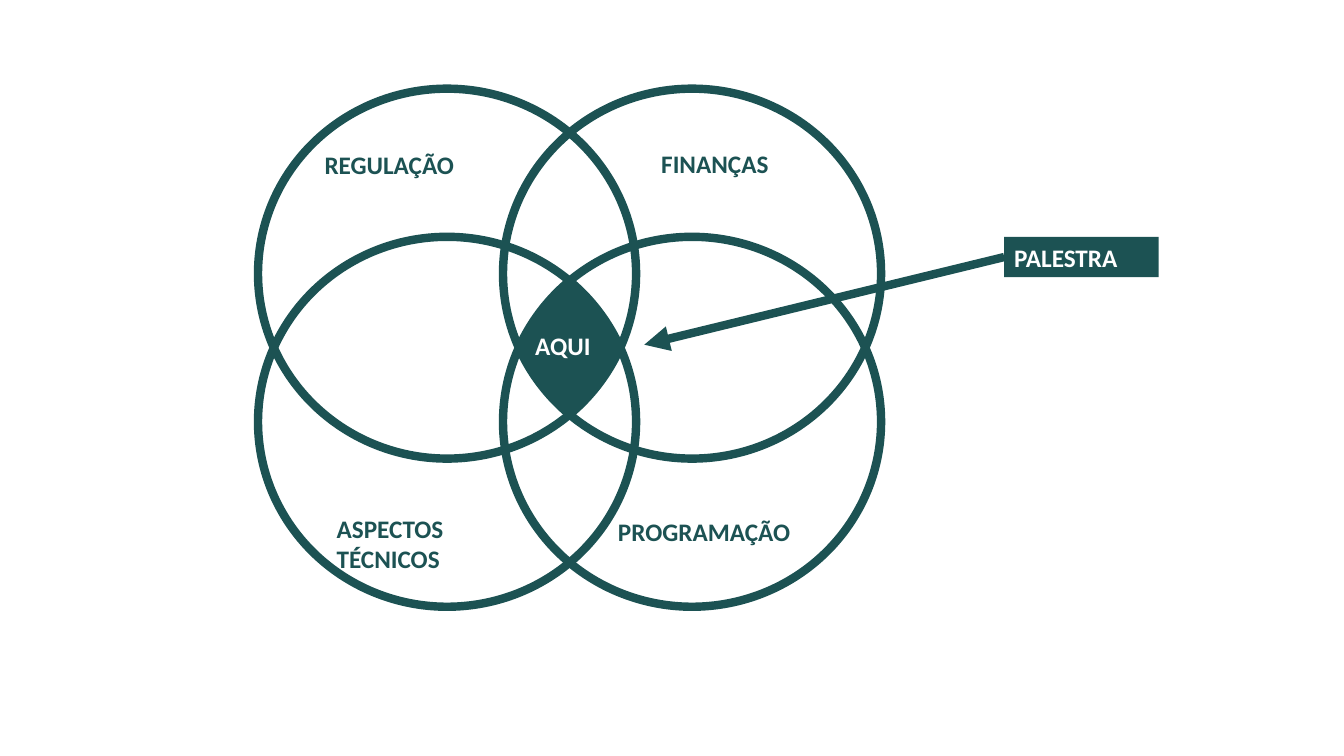
import itertools
import math
from dataclasses import dataclass

import pptx
import pptx.dml.color
import pptx.enum.shapes
import pptx.oxml
import pptx.oxml.ns
import pptx.util


@dataclass(frozen=True)
class Theme:
    """Colours, font, sizes and line widths."""
    teal: str = "1C5253"
    white: str = "FFFFFF"
    font: str = "Calibri"
    label_size: int = 18
    thick: int = 6
    thin: int = 1


def paint(color_format, value):
    """Set a hexadecimal colour on a fill, line or font colour."""
    color_format.rgb = pptx.dml.color.RGBColor.from_string(value)


class Diagram:
    """Draws on one slide; lengths are percentages of the slide's size."""

    def __init__(self, presentation, theme):
        """Add a blank slide and keep the style."""
        self.theme = theme
        self.width = presentation.slide_width
        self.height = presentation.slide_height
        self.slide = presentation.slides.add_slide(presentation.slide_layouts[6])
        self.shapes = self.slide.shapes

    def place(self, x, y):
        """Turn a pair of percentages into slide lengths."""
        return round(self.width * x / 100), round(self.height * y / 100)

    def outline(self, shape, width):
        """Give a shape or connector a teal line."""
        paint(shape.line.color, self.theme.teal)
        shape.line.width = pptx.util.Pt(width)

    def fill(self, shape):
        """Fill a shape with teal."""
        shape.fill.solid()
        paint(shape.fill.fore_color, self.theme.teal)

    def ring(self, left, top, width, height):
        """Draw an unfilled ellipse with a thick line."""
        shape = self.shapes.add_shape(
            pptx.enum.shapes.MSO_SHAPE.OVAL,
            *self.place(left, top), *self.place(width, height))
        shape.shadow.inherit = False
        shape.fill.background()
        self.outline(shape, self.theme.thick)

    def region(self, points):
        """Draw a filled closed outline."""
        corners = [self.place(*point) for point in points]
        builder = self.shapes.build_freeform(*corners[0])
        builder.add_line_segments(corners[1:], close=True)
        shape = builder.convert_to_shape()
        shape.shadow.inherit = False
        self.fill(shape)
        self.outline(shape, self.theme.thin)

    def label(self, text, left, top, width, height=5.33, color=None, filled=False):
        """Write a bold label, on a teal box if filled."""
        box = self.shapes.add_textbox(
            *self.place(left, top), *self.place(width, height))
        if filled:
            self.fill(box)
        box.text_frame.word_wrap = True
        box.text_frame.text = text
        for paragraph in box.text_frame.paragraphs:
            for run in paragraph.runs:
                run.font.name = self.theme.font
                run.font.size = pptx.util.Pt(self.theme.label_size)
                run.font.bold = True
                paint(run.font.color, color or self.theme.teal)

    def arrow(self, start, end):
        """Draw a thick arrow that points at end."""
        connector = self.shapes.add_connector(
            pptx.enum.shapes.MSO_CONNECTOR.STRAIGHT,
            *self.place(*start), *self.place(*end))
        self.outline(connector, self.theme.thick)
        namespace = pptx.oxml.ns.nsdecls("a")
        connector.line._get_or_add_ln().append(
            pptx.oxml.parse_xml(f'<a:tailEnd {namespace} type="triangle"/>'))
        connector._element.spPr.append(
            pptx.oxml.parse_xml(f"<a:effectLst {namespace}/>"))


def shared_core(left, top, width, height, step_x, step_y, pieces=24):
    """Return the outline of the area common to all four rings."""
    center_x = left + (width + step_x) / 2
    center_y = top + (height + step_y) / 2
    first = math.asin(step_y / height)
    last = math.acos(step_x / width)
    angles = [first + (last - first) * i / pieces for i in range(pieces + 1)]
    quarter = [((width * math.cos(angle) - step_x) / 2,
                (height * math.sin(angle) - step_y) / 2) for angle in angles]
    mirrors = ((1, 1, 1), (-1, 1, -1), (-1, -1, 1), (1, -1, -1))
    return [(center_x + sign_x * x, center_y + sign_y * y)
            for sign_x, sign_y, order in mirrors
            for x, y in quarter[::order]]


def main():
    """Build the slide of four overlapping subjects."""
    presentation = pptx.Presentation()
    presentation.slide_width = pptx.util.Inches(13.33)
    presentation.slide_height = pptx.util.Inches(7.5)
    theme = Theme()
    diagram = Diagram(presentation, theme)

    left, top, width, height = 19.2, 11.73, 28.13, 48.93
    step_x, step_y = 18.23, 19.6
    for column, row in itertools.product(range(2), repeat=2):
        diagram.ring(left + column * step_x, top + row * step_y, width, height)
    diagram.region(shared_core(left, top, width, height, step_x, step_y))

    diagram.label("PROGRAMAÇÃO", 45.24, 67.6, 16.88)
    diagram.label("FINANÇAS", 48.46, 18.93, 11.7)
    diagram.label("REGULAÇÃO", 23.41, 19.07, 13.35)
    diagram.label("ASPECTOS\nTÉCNICOS", 24.31, 67.2, 12.15, height=9.47)
    diagram.label("PALESTRA", 74.72, 31.33, 11.48, color=theme.white, filled=True)
    diagram.arrow((74.72, 34), (47.94, 45.6))
    diagram.label("AQUI", 39.08, 43.07, 6.6, color=theme.white)

    presentation.save("out.pptx")


main()
